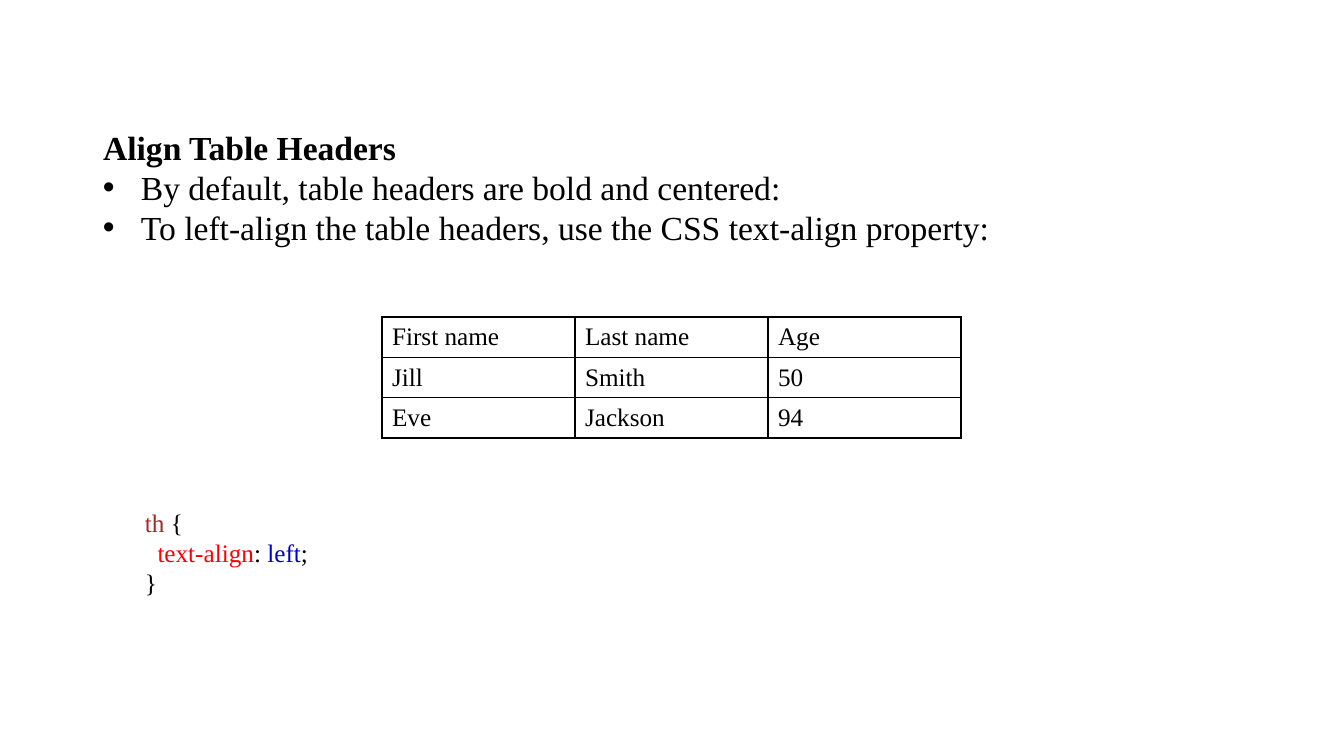
from pptx import Presentation
from pptx.dml.color import RGBColor
from pptx.enum.text import MSO_ANCHOR, PP_ALIGN
from pptx.oxml.ns import qn
from pptx.util import Pt
from lxml import etree

MIDDLE, TOP, LEFT = MSO_ANCHOR.MIDDLE, MSO_ANCHOR.TOP, PP_ALIGN.LEFT

TITLE = "Align Table Headers"
BULLETS = [
    "By default, table headers are bold and centered:",
    "To left-align the table headers, use the CSS text-align property:",
]
PEOPLE = [
    ("First name", "Last name", "Age"),
    ("Jill", "Smith", "50"),
    ("Eve", "Jackson", "94"),
]
BLACK, BROWN, RED, BLUE = "000000", "A52A2A", "FF0000", "0000CD"
CODE = [
    [("th ", BROWN), ("{", BLACK)],
    [("  text-align", RED), (":", BLACK), (" left", BLUE), (";", BLACK)],
    [("}", BLACK)],
]
FONT = "Times New Roman"
HEADING_SIZE, BODY_SIZE = 24, 18
SLIDE_WIDTH, SLIDE_HEIGHT = 1344, 756
TEXT_LEFT, TEXT_TOP, TEXT_WIDTH, LINE_HEIGHT = 93, 122, 914, 40
TABLE_LEFT, TABLE_TOP, COLUMN_WIDTH, ROW_HEIGHT = 382, 317, 193, 38
CODE_BOX = (135, 502, 675, 102)
BULLET_INDENT = 38


def px(length):
    return round(length * 914400 / 100.8)


def style(font, size, color=BLACK, bold=False):
    font.name = FONT
    font.size = Pt(size)
    font.bold = bold
    font.color.rgb = RGBColor.from_string(color)


def add_text_box(slide, place):
    box = slide.shapes.add_textbox(*map(px, place))
    box.text_frame.word_wrap = True
    return box.text_frame


def next_paragraph(frame, index):
    return frame.add_paragraph() if index else frame.paragraphs[0]


def add_bullet(para):
    properties = para._p.get_or_add_pPr()
    properties.set("marL", str(px(BULLET_INDENT)))
    properties.set("indent", str(-px(BULLET_INDENT)))
    etree.SubElement(properties, qn("a:buFont"), typeface="Arial")
    etree.SubElement(properties, qn("a:buChar"), char="•")


def add_borders(cell):
    properties = cell._tc.get_or_add_tcPr()
    for side in ("lnL", "lnR", "lnT", "lnB"):
        line = etree.SubElement(properties, qn(f"a:{side}"), w=str(Pt(1)))
        fill = etree.SubElement(line, qn("a:solidFill"))
        etree.SubElement(fill, qn("a:srgbClr"), val=BLACK)


def add_title(slide):
    title = slide.shapes.title
    title.left, title.top = px(TEXT_LEFT), px(TEXT_TOP)
    title.width, title.height = px(TEXT_WIDTH), px(LINE_HEIGHT + 10)
    frame = title.text_frame
    frame.text = TITLE
    frame.vertical_anchor = TOP
    para = frame.paragraphs[0]
    para.alignment = LEFT
    style(para.runs[0].font, HEADING_SIZE, bold=True)


def add_bullets(slide):
    height = LINE_HEIGHT * len(BULLETS) + 10
    frame = add_text_box(slide, (TEXT_LEFT, TEXT_TOP + LINE_HEIGHT, TEXT_WIDTH, height))
    for index, text in enumerate(BULLETS):
        para = next_paragraph(frame, index)
        add_bullet(para)
        para.text = text
        style(para.runs[0].font, HEADING_SIZE)


def add_people(slide):
    rows, columns = len(PEOPLE), len(PEOPLE[0])
    place = (TABLE_LEFT, TABLE_TOP, COLUMN_WIDTH * columns, ROW_HEIGHT * rows)
    table = slide.shapes.add_table(rows, columns, *map(px, place)).table
    table.first_row = table.horz_banding = False
    for row, record in enumerate(PEOPLE):
        for column, text in enumerate(record):
            cell = table.cell(row, column)
            cell.text = text
            cell.vertical_anchor = MIDDLE
            style(cell.text_frame.paragraphs[0].runs[0].font, BODY_SIZE)
            add_borders(cell)
            cell.fill.background()


def add_code(slide):
    frame = add_text_box(slide, CODE_BOX)
    for index, spans in enumerate(CODE):
        para = next_paragraph(frame, index)
        for text, color in spans:
            span = para.add_run()
            span.text = text
            style(span.font, BODY_SIZE, color)


def main():
    deck = Presentation()
    deck.slide_width, deck.slide_height = px(SLIDE_WIDTH), px(SLIDE_HEIGHT)
    slide = deck.slides.add_slide(deck.slide_layouts[5])
    add_title(slide)
    add_bullets(slide)
    add_people(slide)
    add_code(slide)
    deck.save("out.pptx")


if __name__ == "__main__":
    main()
